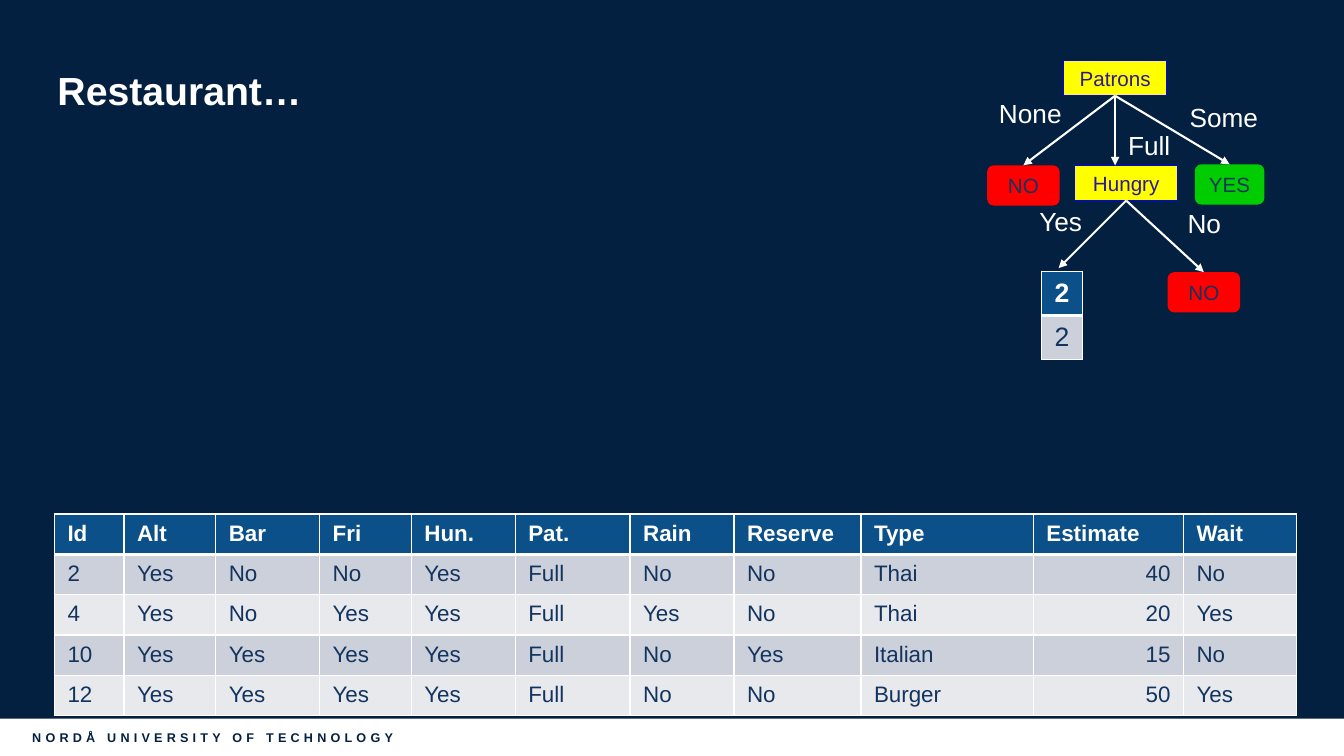
from collections import namedtuple
from dataclasses import dataclass

from lxml import etree
from pptx import Presentation
from pptx import util as u
from pptx.dml.color import RGBColor
from pptx.enum import shapes, text
from pptx.oxml.ns import qn

Box = namedtuple("Box", "left top width height")


@dataclass(frozen=True)
class Theme:
    font: str = "Arial"
    navy: str = "032040"
    white: str = "FFFFFF"
    header: str = "0C5089"
    ink: str = "13345E"
    odd_row: str = "CCD0DA"
    even_row: str = "E7E9ED"
    question: str = "FFFF00"
    question_line: str = "0000FF"
    question_ink: str = "2D1993"
    yes: str = "00CC00"
    no: str = "FF0000"
    title_size: float = 28
    table_size: float = 16
    example_size: float = 19
    label_size: float = 18.7
    node_size: float = 14.7
    footer_size: float = 9


THEME = Theme()
COLUMN_WIDTHS = [0.69, 0.91, 1.03, 0.91, 1.03, 1.14, 1.03, 1.26, 1.71, 1.49, 1.12]
RECORDS = [
    ["Id", "Alt", "Bar", "Fri", "Hun.", "Pat.", "Rain", "Reserve", "Type", "Estimate", "Wait"],
    ["2", "Yes", "No", "No", "Yes", "Full", "No", "No", "Thai", "40", "No"],
    ["4", "Yes", "No", "Yes", "Yes", "Full", "Yes", "No", "Thai", "20", "Yes"],
    ["10", "Yes", "Yes", "Yes", "Yes", "Full", "No", "Yes", "Italian", "15", "No"],
    ["12", "Yes", "Yes", "Yes", "Yes", "Full", "No", "No", "Burger", "50", "Yes"],
]
ESTIMATE = RECORDS[0].index("Estimate")


def inches(box):
    return [u.Inches(length) for length in box]


def paint(fill, color):
    fill.solid()
    fill.fore_color.rgb = RGBColor.from_string(color)


def write(frame, words, size, color, bold=False, align=text.PP_ALIGN.LEFT):
    frame.text = words
    para = frame.paragraphs[0]
    para.alignment = align
    span = para.runs[0]
    span.font.name = THEME.font
    span.font.size = u.Pt(size)
    span.font.bold = bold
    span.font.color.rgb = RGBColor.from_string(color)
    return span


def add_block(slide, kind, box, color):
    block = slide.shapes.add_shape(kind, *inches(box))
    block.shadow.inherit = False
    paint(block.fill, color)
    block.line.fill.background()
    block.text_frame.vertical_anchor = text.MSO_ANCHOR.MIDDLE
    return block


def add_title(slide, box):
    title = slide.shapes.title
    title.left, title.top, title.width, title.height = inches(box)
    frame = title.text_frame
    frame.vertical_anchor = text.MSO_ANCHOR.MIDDLE
    write(frame, "Restaurant…", THEME.title_size, THEME.white, True)
    frame.paragraphs[0].line_spacing = 0.9


def add_footer(slide, box):
    band = add_block(slide, shapes.MSO_SHAPE.RECTANGLE, box, THEME.white)
    band.text_frame.margin_left = u.Inches(0.32)
    span = write(band.text_frame, "NORDÅ UNIVERSITY OF TECHNOLOGY",
                 THEME.footer_size, THEME.navy, True)
    span._r.get_or_add_rPr().set("spc", "300")


def set_borders(cell, bottom_width, top_width):
    properties = cell._tc.get_or_add_tcPr()
    widths = {"lnL": 1, "lnR": 1, "lnT": top_width, "lnB": bottom_width}
    for place, (side, width) in enumerate(widths.items()):
        line = etree.Element(qn(f"a:{side}"), w=str(u.Pt(width)))
        fill = etree.SubElement(line, qn("a:solidFill"))
        etree.SubElement(fill, qn("a:srgbClr"), val=THEME.white)
        properties.insert(place, line)


def add_grid(slide, box, rows, widths, size, right_column=None):
    table = slide.shapes.add_table(len(rows), len(widths), *inches(box)).table
    for column, width in zip(table.columns, widths):
        column.width = u.Inches(width)
    for row_index, values in enumerate(rows):
        table.rows[row_index].height = u.Inches(box.height / len(rows))
        is_header = row_index == 0
        body_fill = THEME.odd_row if row_index % 2 else THEME.even_row
        for column_index, value in enumerate(values):
            cell = table.cell(row_index, column_index)
            cell.margin_left = cell.margin_right = u.Inches(0.13)
            cell.margin_top = cell.margin_bottom = u.Inches(0.07)
            paint(cell.fill, THEME.header if is_header else body_fill)
            is_right = column_index == right_column and not is_header
            write(cell.text_frame, value, size,
                  THEME.white if is_header else THEME.ink, is_header,
                  text.PP_ALIGN.RIGHT if is_right else text.PP_ALIGN.LEFT)
            set_borders(cell, 3 if is_header else 1, 3 if row_index == 1 else 1)


def add_question(slide, box, words):
    node = add_block(slide, shapes.MSO_SHAPE.RECTANGLE, box, THEME.question)
    node.line.color.rgb = RGBColor.from_string(THEME.question_line)
    node.line.width = u.Pt(1)
    write(node.text_frame, words, THEME.node_size, THEME.question_ink,
          align=text.PP_ALIGN.CENTER)
    return node


def add_answer(slide, box, words, color):
    node = add_block(slide, shapes.MSO_SHAPE.ROUNDED_RECTANGLE, box, color)
    write(node.text_frame, words, THEME.node_size, THEME.ink, align=text.PP_ALIGN.CENTER)
    return node


def add_branch(slide, question, end, answer=None):
    arrow = slide.shapes.add_connector(shapes.MSO_CONNECTOR.STRAIGHT, 0, 0, *end)
    arrow.begin_connect(question, 2)
    if answer is not None:
        arrow.end_connect(answer, 0)
    arrow.line.color.rgb = RGBColor.from_string(THEME.white)
    arrow.line.width = u.Pt(1.5)
    etree.SubElement(arrow.line._get_or_add_ln(), qn("a:tailEnd"), type="triangle")
    etree.SubElement(arrow._element.spPr, qn("a:effectLst"))


def add_label(slide, box, words):
    label = slide.shapes.add_textbox(*inches(box))
    label.text_frame.word_wrap = False
    write(label.text_frame, words, THEME.label_size, THEME.white)


def add_tree(slide, box):
    def within(left, top, width, height):
        return Box(box.left + left, box.top + top, width, height)

    patrons = add_question(slide, within(0.76, 0, 1.02, 0.35), "Patrons")
    hungry = add_question(slide, within(0.87, 1.04, 1.02, 0.35), "Hungry")
    none_answer = add_answer(slide, within(0, 1.04, 0.72, 0.4), "NO", THEME.no)
    some_answer = add_answer(slide, within(2.06, 1.03, 0.69, 0.4), "YES", THEME.yes)
    full_answer = add_answer(slide, within(1.79, 2.1, 0.72, 0.4), "NO", THEME.no)
    examples = within(0.54, 2.09, 0.41, 0.88)
    add_grid(slide, examples, [["2"], ["2"]], [examples.width], THEME.example_size)

    for question, answer in [(patrons, none_answer), (patrons, some_answer),
                             (hungry, full_answer)]:
        add_branch(slide, question, (answer.left, answer.top), answer)
    add_branch(slide, patrons, (patrons.left + patrons.width // 2, hungry.top))
    add_branch(slide, hungry, inches((examples.left + 0.17, examples.top - 0.03)))

    for words, left, top, width in [("None", 0.02, 0.32, 0.83), ("Some", 1.91, 0.36, 0.89),
                                    ("Full", 1.3, 0.63, 0.62), ("Yes", 0.42, 1.39, 0.63),
                                    ("No", 1.89, 1.41, 0.54)]:
        add_label(slide, within(left, top, width, 0.42), words)


def main():
    deck = Presentation()
    deck.slide_width, deck.slide_height = u.Inches(13.33), u.Inches(7.5)
    slide = deck.slides.add_slide(deck.slide_layouts[5])
    paint(slide.background.fill, THEME.navy)
    add_footer(slide, Box(0, 7.13, 13.33, 0.37))
    add_title(slide, Box(0.47, 0.26, 12.39, 1.32))
    add_grid(slide, Box(0.54, 5.1, sum(COLUMN_WIDTHS), 2), RECORDS, COLUMN_WIDTHS,
             THEME.table_size, ESTIMATE)
    add_tree(slide, Box(9.79, 0.6, 2.8, 2.97))
    deck.save("out.pptx")


if __name__ == "__main__":
    main()
